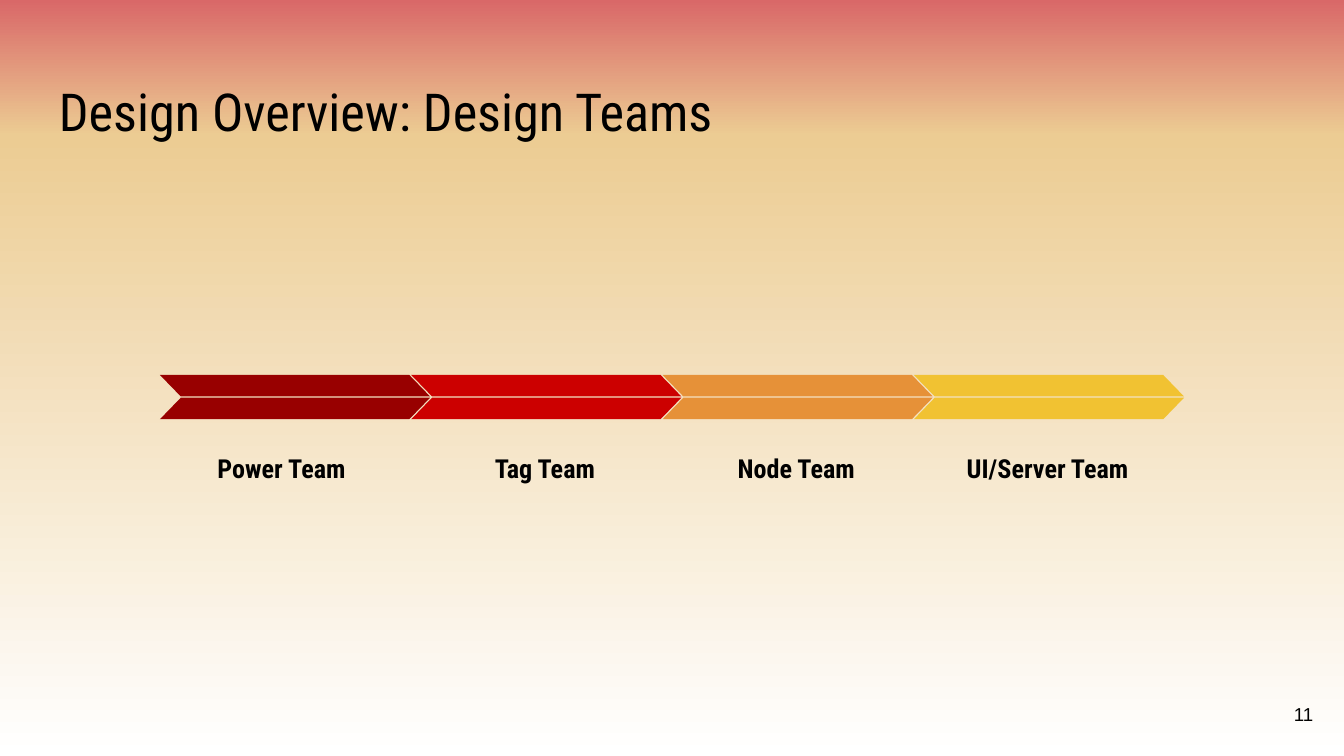
from copy import deepcopy

from pptx import Presentation
from pptx.dml.color import RGBColor
from pptx.enum.shapes import MSO_SHAPE
from pptx.enum.text import MSO_ANCHOR, PP_ALIGN
from pptx.oxml.ns import qn
from pptx.util import Inches, Pt

CONDENSED = "Roboto Condensed"
BACKGROUND_STOPS = [(0, "D96868"), (0.18, "ECCC93"), (1, "FFFFFF")]
# Team name, arrow colour, label offset from the left of its arrow
TEAMS = [
    ("Power Team", "980000", 0.08),
    ("Tag Team", "CC0000", 0.17),
    ("Node Team", "E69138", 0.17),
    ("UI/Server Team", "F1C232", 0.17),
]
ARROW_STEP = 1.87
ARROW_WIDTH = 2.01
HALF_HEIGHT = 0.16
HALF_STEP = 0.17


def color(hex_string):
    return RGBColor.from_string(hex_string)


def paint_background(slide):
    fill = slide.background.fill
    fill.gradient()
    fill.gradient_angle = 270
    stop_list = slide.element.find(".//" + qn("a:gsLst"))
    stop_list.insert(1, deepcopy(stop_list[0]))
    for stop, (position, hex_string) in zip(fill.gradient_stops, BACKGROUND_STOPS):
        stop.position = position
        stop.color.rgb = color(hex_string)


def add_text(slide, box, text, font_format, paragraph_format=None, anchor=MSO_ANCHOR.TOP):
    frame = slide.shapes.add_textbox(*map(Inches, box)).text_frame
    frame.word_wrap = True
    frame.vertical_anchor = anchor
    for side in ("left", "top", "right", "bottom"):
        setattr(frame, f"margin_{side}", Inches(0.1))
    paragraph = frame.paragraphs[0]
    for name, value in (paragraph_format or {}).items():
        setattr(paragraph, name, value)
    run = paragraph.add_run()
    run.text = text
    for name, value in font_format.items():
        setattr(run.font, name, value)
    run.font.color.rgb = color("000000")


def add_arrow(slide, left, top, hex_string):
    """Draw a chevron from two mirrored parallelograms."""
    for half in range(2):
        shape = slide.shapes.add_shape(
            MSO_SHAPE.PARALLELOGRAM, Inches(left), Inches(top + half * HALF_STEP),
            Inches(ARROW_WIDTH), Inches(HALF_HEIGHT))
        shape.adjustments[0] = 0.97
        shape.shadow.inherit = False
        shape.fill.solid()
        shape.fill.fore_color.rgb = color(hex_string)
        shape.line.fill.background()
        if half == 0:
            shape.element.spPr.xfrm.set("flipH", "1")


def add_team_chain(slide, left, top):
    for index, (team, hex_string, label_offset) in enumerate(TEAMS):
        arrow_left = left + index * ARROW_STEP
        add_arrow(slide, arrow_left, top, hex_string)
        add_text(slide, (arrow_left + label_offset, top + 0.42, 1.65, 0.49), team,
                 {"name": CONDENSED, "size": Pt(14), "bold": True},
                 {"alignment": PP_ALIGN.CENTER, "line_spacing": 1.15},
                 MSO_ANCHOR.BOTTOM)


def build_team_slide(presentation):
    slide = presentation.slides.add_slide(presentation.slide_layouts[6])
    paint_background(slide)
    add_text(slide, (0.34, 0.49, 9.32, 0.63), "Design Overview: Design Teams",
             {"name": CONDENSED, "size": Pt(28)})
    add_team_chain(slide, 1.19, 2.79)
    add_text(slide, (9.27, 5.1, 0.6, 0.43), "11", {"name": "Arial", "size": Pt(10)},
             {"alignment": PP_ALIGN.RIGHT}, MSO_ANCHOR.MIDDLE)


def main():
    presentation = Presentation()
    presentation.slide_width = Inches(10)
    presentation.slide_height = Inches(10 * 9 / 16)
    build_team_slide(presentation)
    presentation.save("out.pptx")


if __name__ == "__main__":
    main()
